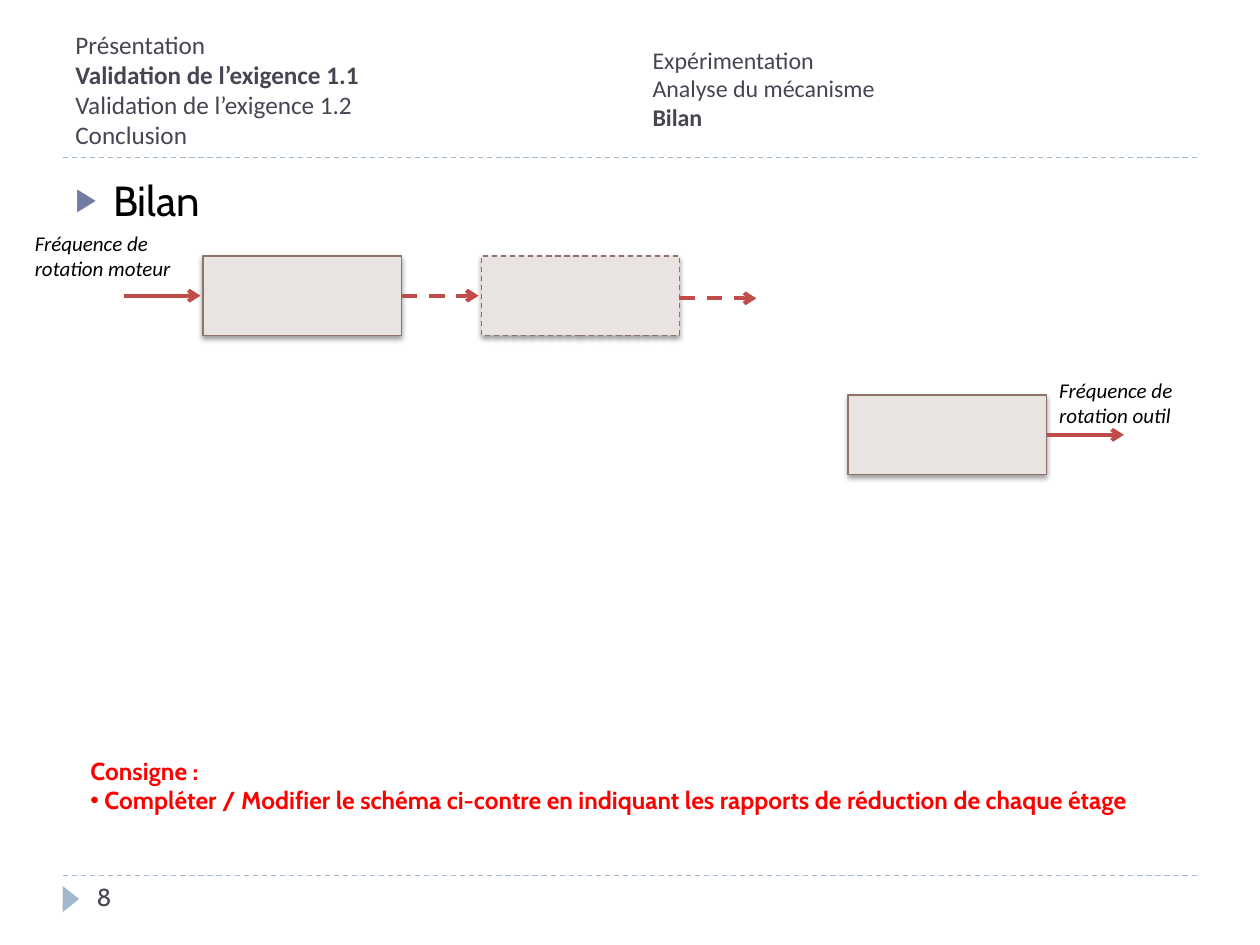
import dataclasses

import pptx
import pptx.dml.color
import pptx.enum.dml
import pptx.enum.shapes
import pptx.enum.text
import pptx.oxml
import pptx.oxml.ns
import pptx.util

Pt = pptx.util.Pt
SHAPE = pptx.enum.shapes.MSO_SHAPE
ANCHOR = pptx.enum.text.MSO_ANCHOR
NAMESPACE = pptx.oxml.ns.nsdecls("a")


@dataclasses.dataclass(frozen=True)
class Theme:
    heading_font: str = "Calibri"
    body_font: str = "Cabin"
    ink: str = "464653"
    black: str = "000000"
    alert: str = "FF0000"
    rule: str = "9FB8CD"
    bullet: str = "727CA3"
    stage_fill: str = "E9E3E1"
    stage_line: str = "8E736A"
    arrow: str = "BF4C48"
    topic_size: float = 24
    title_size: float = 14.4
    section_size: float = 13.7
    body_size: float = 14
    label_size: float = 12
    thin: float = 0.75
    thick: float = 2.25


def color(value):
    return pptx.dml.color.RGBColor.from_string(value)


def element(markup):
    return pptx.oxml.parse_xml(markup.replace(">", f" {NAMESPACE}>", 1))


def write(para, text, *, font, size, ink, bold=False, italic=False):
    span = para.add_run()
    span.text = text
    span.font.name = font
    span.font.size = Pt(size)
    span.font.color.rgb = color(ink)
    span.font.bold = bold
    span.font.italic = italic


def add_bullet(para, symbol, indent, ink, percent=100):
    properties = para._p.get_or_add_pPr()
    properties.set("marL", str(Pt(indent)))
    properties.set("indent", str(-Pt(indent)))
    for markup in (
        f'<a:buClr><a:srgbClr val="{ink}"/></a:buClr>',
        f'<a:buSzPct val="{percent * 1000}"></a:buSzPct>',
        '<a:buFont typeface="Arial"></a:buFont>',
        f'<a:buChar char="{symbol}"></a:buChar>',
    ):
        properties.append(element(markup))


class Painter:
    def __init__(self, slide, theme):
        self.slide = slide
        self.theme = theme

    def text(self, left, top, width, height, lines, anchor=ANCHOR.TOP, bold_line=None, **style):
        box = self.slide.shapes.add_textbox(Pt(left), Pt(top), Pt(width), Pt(height))
        frame = box.text_frame
        frame.word_wrap = True
        frame.vertical_anchor = anchor
        for index, line in enumerate(lines):
            para = frame.paragraphs[0] if index == 0 else frame.add_paragraph()
            emphasis = {"bold": True} if line == bold_line else {}
            write(para, line, **{**style, **emphasis})
        return frame

    def label(self, left, top, text):
        self.text(left, top, 114.5, 36, [text], font=self.theme.heading_font,
                  size=self.theme.label_size, ink=self.theme.black, italic=True)

    def line(self, left, top, length, ink, weight, dashed=False, arrow=False):
        line = self.slide.shapes.add_connector(
            pptx.enum.shapes.MSO_CONNECTOR.STRAIGHT,
            Pt(left), Pt(top), Pt(left + length), Pt(top))
        self.outline(line, ink, weight, dashed)
        if arrow:
            line.line._get_or_add_ln().append(element('<a:tailEnd type="arrow"></a:tailEnd>'))
        line._element.spPr.append(element("<a:effectLst></a:effectLst>"))

    def outline(self, shape, ink, weight, dashed):
        shape.line.color.rgb = color(ink)
        shape.line.width = Pt(weight)
        if dashed:
            shape.line.dash_style = pptx.enum.dml.MSO_LINE.DASH

    def rule(self, top):
        self.line(36, top, 648, self.theme.rule, self.theme.thin, dashed=True)

    def arrow(self, left, top, dashed=False):
        self.line(left, top, 44, self.theme.arrow, self.theme.thick, dashed, arrow=True)

    def shape(self, kind, left, top, width, height, fill):
        shape = self.slide.shapes.add_shape(kind, Pt(left), Pt(top), Pt(width), Pt(height))
        shape.shadow.inherit = False
        shape.fill.solid()
        shape.fill.fore_color.rgb = color(fill)
        return shape

    def page_marker(self):
        marker = self.shape(SHAPE.ISOSCELES_TRIANGLE, 33, 509, 15, 9.5, self.theme.rule)
        marker.rotation = 90
        marker.line.fill.background()

    def stage(self, left, top, dashed=False):
        box = self.shape(SHAPE.RECTANGLE, left, top, 113.4, 45.4, self.theme.stage_fill)
        self.outline(box, self.theme.stage_line, self.theme.thin, dashed)
        effects = box._element.spPr.find(pptx.oxml.ns.qn("a:effectLst"))
        effects.append(element(
            f'<a:outerShdw blurRad="{Pt(3.1)}" dist="{Pt(1.6)}" dir="5400000" rotWithShape="0">'
            '<a:srgbClr val="000000"><a:alpha val="38000"/></a:srgbClr></a:outerShdw>'))


def main():
    theme = Theme()
    deck = pptx.Presentation()
    deck.slide_width, deck.slide_height = Pt(720), Pt(540)
    page = Painter(deck.slides.add_slide(deck.slide_layouts[6]), theme)

    page.rule(500.4)
    page.rule(90)
    page.page_marker()
    page.text(48.2, 500.4, 156, 29, ["8"],
              font=theme.body_font, size=theme.body_size, ink=theme.ink)

    page.text(36, 12.2, 318, 78,
              ["Présentation", "Validation de l’exigence 1.1",
               "Validation de l’exigence 1.2", "Conclusion"],
              anchor=ANCHOR.MIDDLE, bold_line="Validation de l’exigence 1.1",
              font=theme.heading_font, size=theme.title_size, ink=theme.ink)
    page.text(365.8, 11.5, 318, 78,
              ["Expérimentation", "Analyse du mécanisme", "Bilan"],
              anchor=ANCHOR.MIDDLE, bold_line="Bilan",
              font=theme.heading_font, size=theme.section_size, ink=theme.ink)

    topic = page.text(36, 96, 648, 389, ["Bilan"],
                      font=theme.body_font, size=theme.topic_size, ink=theme.black)
    add_bullet(topic.paragraphs[0], "▶", 21.6, theme.bullet, percent=76)

    task = page.text(44.6, 428.4, 624, 75,
                     ["Consigne :",
                      "Compléter / Modifier le schéma ci-contre en indiquant "
                      "les rapports de réduction de chaque étage"],
                     font=theme.body_font, size=theme.body_size, ink=theme.alert, bold=True)
    add_bullet(task.paragraphs[1], "•", 8, theme.alert)

    for left, top, dashed in ((116, 146.3, False), (275, 146.3, True), (484.6, 225.8, False)):
        page.stage(left, top, dashed)
    for left, top, dashed in ((70.6, 169, False), (229.5, 169, True),
                              (388.2, 170.5, True), (598.2, 248.5, False)):
        page.arrow(left, top, dashed)
    page.label(12.8, 128.2, "Fréquence de rotation moteur")
    page.label(598.2, 212.2, "Fréquence de rotation outil")

    deck.save("out.pptx")


if __name__ == "__main__":
    main()
